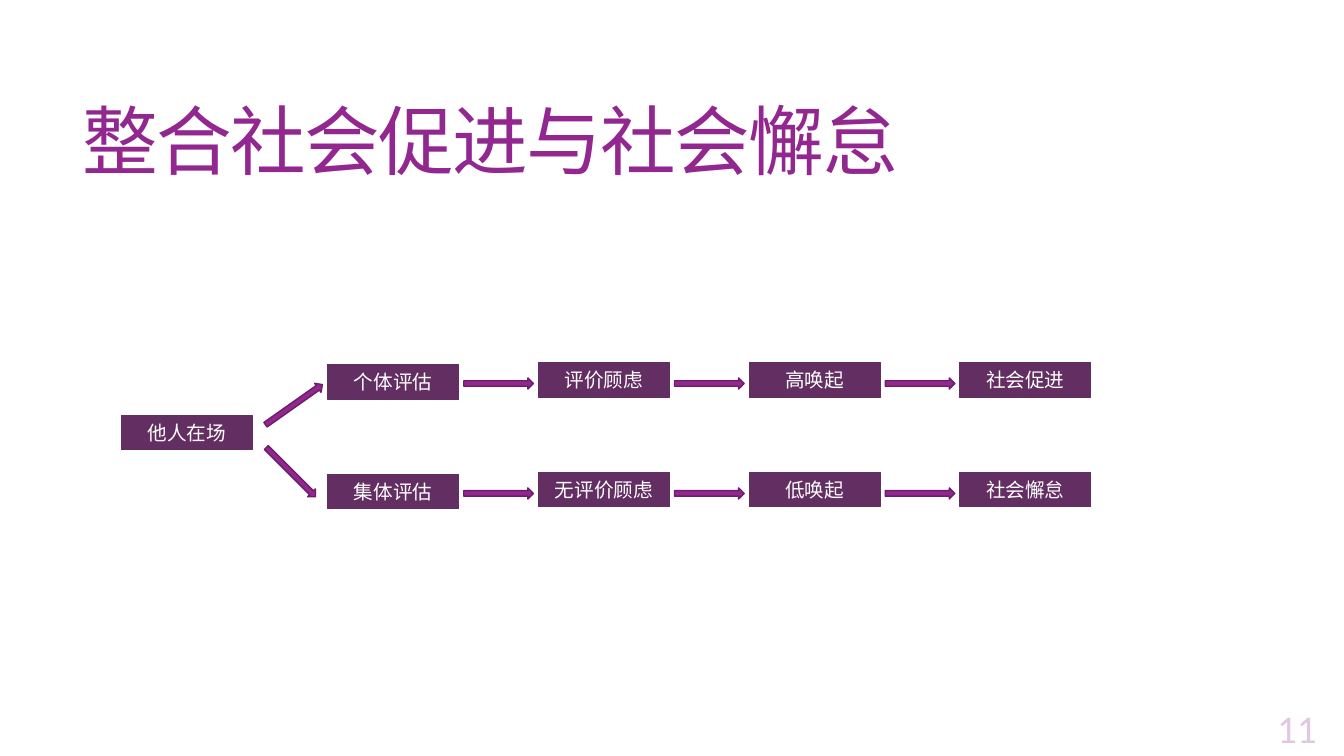
from lxml import etree
from pptx import Presentation
from pptx import util as u
from pptx.dml import color
from pptx.enum import shapes, text
from pptx.oxml import ns

COLORS = {
    "accent": "92278F",
    "arrow_line": "6C1D6A",
    "box": "632E62",
    "white": "FFFFFF",
}
FLOWS = [
    ["个体评估", "评价顾虑", "高唤起", "社会促进"],
    ["集体评估", "无评价顾虑", "低唤起", "社会懈怠"],
]


def rgb(name):
    return color.RGBColor.from_string(COLORS[name])


def write(shape, wording, size, ink, align=text.PP_ALIGN.LEFT,
          anchor=text.MSO_ANCHOR.MIDDLE, line_spacing=None, tracking=None, opacity=None):
    """Put one formatted paragraph in a shape; tracking is in points, opacity in percent."""
    frame = shape.text_frame
    frame.word_wrap = True
    frame.auto_size = text.MSO_AUTO_SIZE.NONE
    frame.vertical_anchor = anchor
    paragraph = frame.paragraphs[0]
    paragraph.alignment = align
    if line_spacing:
        paragraph.line_spacing = line_spacing
    run = paragraph.add_run()
    run.text = wording
    run.font.name = "Calibri"
    run.font.size = u.Pt(size)
    run.font.bold = False
    run.font.color.rgb = rgb(ink)
    properties = run.font._element
    if tracking:
        properties.set("spc", str(round(tracking * 100)))
    if opacity:
        fill_color = properties.find(".//" + ns.qn("a:srgbClr"))
        etree.SubElement(fill_color, ns.qn("a:alpha")).set("val", str(opacity * 1000))


class FlowSlide:
    """A slide whose boxes and arrows sit on a grid of columns and rows."""
    left, top = 3.25, 3.6
    column_step, row_step = 2.09, 1.09
    box_width, box_height = 1.3, 0.34
    arrow_width, arrow_height = 0.69, 0.11

    def __init__(self, presentation):
        self.slide = presentation.slides.add_slide(presentation.slide_layouts[5])

    def cell(self, column, row):
        return self.left + column * self.column_step, self.top + row * self.row_step

    def title(self, wording):
        title = self.slide.shapes.title
        title.left, title.top = u.Inches(0.72), u.Inches(0.55)
        title.width, title.height = u.Inches(11.78), u.Inches(1.81)
        write(title, wording, 54, "accent", line_spacing=0.85, tracking=-1.2)

    def page_number(self, wording):
        box = self.slide.shapes.add_textbox(
            u.Inches(9.96), u.Inches(5.97), u.Inches(3.2), u.Inches(1.53))
        write(box, wording, 28, "accent", align=text.PP_ALIGN.RIGHT,
              anchor=text.MSO_ANCHOR.BOTTOM, opacity=25)

    def shape(self, kind, left, top, width, height, fill, line, weight):
        shape = self.slide.shapes.add_shape(
            kind, u.Inches(left), u.Inches(top), u.Inches(width), u.Inches(height))
        shape.shadow.inherit = False
        shape.fill.solid()
        shape.fill.fore_color.rgb = rgb(fill)
        shape.line.color.rgb = rgb(line)
        shape.line.width = u.Pt(weight)
        return shape

    def box(self, wording, column, row, drop=0.0):
        left, top = self.cell(column, row)
        box = self.shape(shapes.MSO_SHAPE.RECTANGLE, left, top + drop,
                         self.box_width, self.box_height, "box", "box", 0.75)
        write(box, wording, 14, "white", align=text.PP_ALIGN.CENTER)

    def arrow(self, column, row, across=1.35, down=0.15, rotation=0.0):
        """Draw an arrow, offset in inches from the corner of its grid cell."""
        left, top = self.cell(column, row)
        arrow = self.shape(shapes.MSO_SHAPE.RIGHT_ARROW, left + across, top + down,
                           self.arrow_width, self.arrow_height, "accent", "arrow_line", 1)
        arrow.rotation = rotation


def main():
    presentation = Presentation()
    presentation.slide_width, presentation.slide_height = u.Inches(13.33), u.Inches(7.5)
    flow = FlowSlide(presentation)
    flow.title("整合社会促进与社会懈怠")
    flow.page_number("11")

    flow.box("他人在场", -0.98, 0.48)
    flow.arrow(-1, 0, across=1.41, down=0.36, rotation=324.8)
    flow.arrow(-1, 1, across=1.38, down=-0.06, rotation=45)
    for row, steps in enumerate(FLOWS):
        for column, step in enumerate(steps):
            flow.box(step, column, row, drop=0 if column else 0.02)
            if column:
                flow.arrow(column - 1, row)
    presentation.save("out.pptx")


if __name__ == "__main__":
    main()
